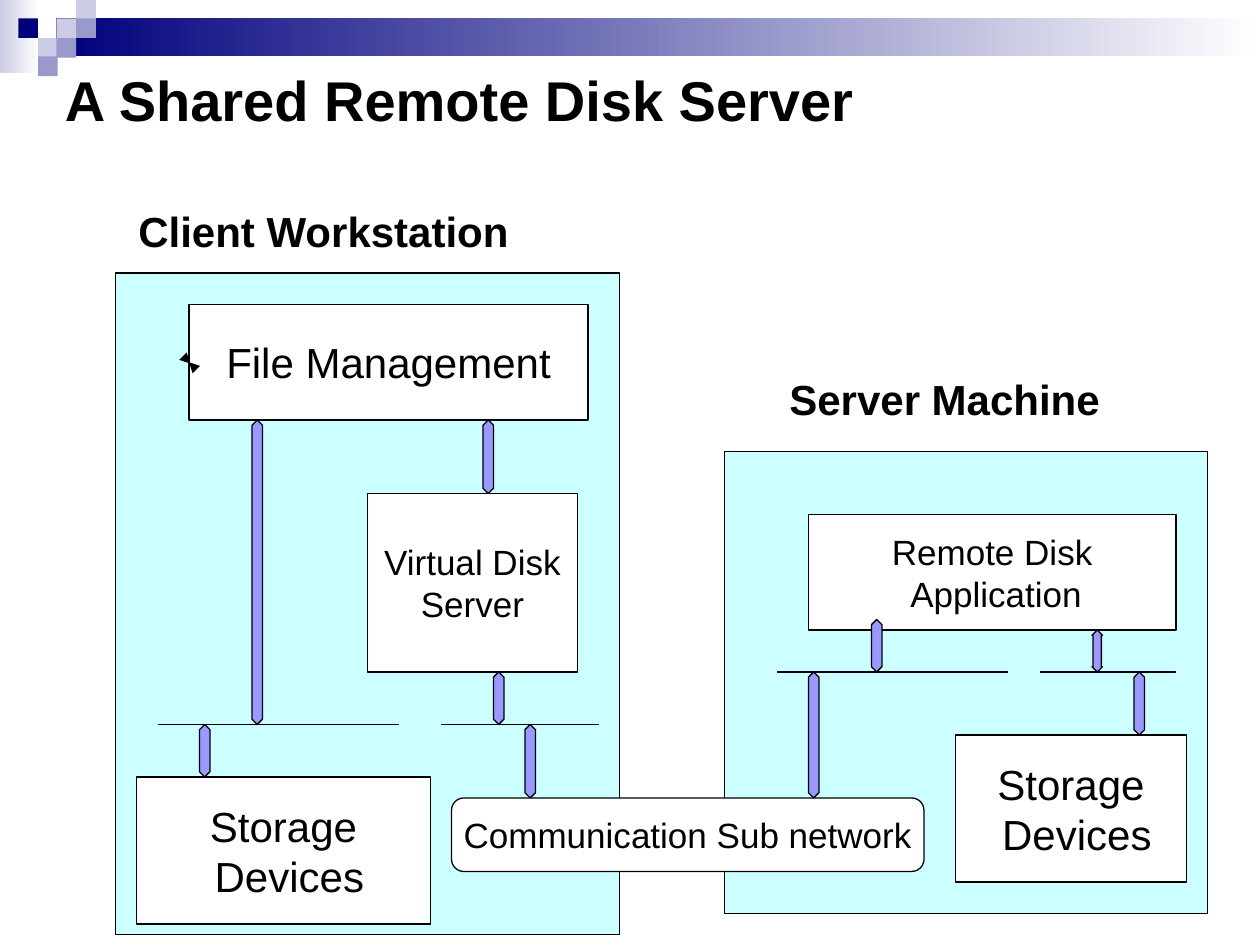
from lxml import etree
from pptx import Presentation
from pptx.dml.color import RGBColor
from pptx.enum.shapes import MSO_CONNECTOR, MSO_SHAPE
from pptx.enum.text import MSO_ANCHOR, PP_ALIGN
from pptx.oxml.ns import qn
from pptx.util import Pt

PX = 9525  # EMU per px, 96 px to the inch
RECT, ROUND = MSO_SHAPE.RECTANGLE, MSO_SHAPE.ROUNDED_RECTANGLE
ARROW, STRAIGHT = MSO_SHAPE.UP_DOWN_ARROW, MSO_CONNECTOR.STRAIGHT
CENTER, MIDDLE = PP_ALIGN.CENTER, MSO_ANCHOR.MIDDLE

THEME = {
    "font": "Arial", "ink": "000000", "box": "FFFFFF", "panel": "CCFFFF",
    "arrow": "9999FF", "navy": "00007D", "mid": "9999CC", "pale": "CCCCE6",
    "title": 32, "large": 24, "small": 20, "line": 0.75,
}


def color(name):
    return RGBColor.from_string(THEME[name])


def add_block(kind, bounds, fill, outlined=True):
    block = slide.shapes.add_shape(kind, *(v * PX for v in bounds))
    block.shadow.inherit = False
    block.fill.solid()
    block.fill.fore_color.rgb = color(fill)
    if outlined:
        block.line.color.rgb = color("ink")
        block.line.width = Pt(THEME["line"])
    else:
        block.line.fill.background()
    return block


def write(frame, lines, size, bold=False, **paragraph_format):
    for i, text in enumerate(lines):
        paragraph = frame.paragraphs[0] if i == 0 else frame.add_paragraph()
        for key, value in paragraph_format.items():
            setattr(paragraph, key, value)
        run = paragraph.add_run()
        run.text = text
        font = {"name": THEME["font"], "size": Pt(THEME[size]), "bold": bold}
        for key, value in font.items():
            setattr(run.font, key, value)
        run.font.color.rgb = color("ink")


prs = Presentation()
prs.slide_width, prs.slide_height = 960 * PX, 720 * PX
slide = prs.slides.add_slide(prs.slide_layouts[6])

# Header band and mosaic
for bounds, dark_end in [((0, 0, 30, 56), "pale"), ((43, 14, 917, 29), "navy")]:
    band = add_block(RECT, bounds, dark_end, outlined=False)
    band.fill.gradient()
    band.fill.gradient_angle = 180
    for stop, name, position in zip(band.fill.gradient_stops, ("box", dark_end), (0, 1)):
        stop.color.rgb = color(name)
        stop.position = position

TILE_EDGES = (0, 14, 29, 43, 58)
for column, row, fill in [
    (3, 1, "pale"), (4, 0, "pale"), (4, 1, "mid"), (2, 2, "pale"),
    (1, 1, "navy"), (3, 2, "mid"), (2, 3, "mid"),
]:
    add_block(RECT, (TILE_EDGES[column], TILE_EDGES[row], 15, 15), fill, outlined=False)

# Headings
for text, bounds, size, space in [
    ("A Shared Remote Disk Server", (40, 45, 864, 120), "title", 0),
    ("Client Workstation", (96, 152, 344, 48), "large", 15),
    ("Server Machine", (592, 280, 312, 48), "large", 15),
]:
    heading = slide.shapes.add_textbox(*(v * PX for v in bounds)).text_frame
    heading.word_wrap = True
    write(heading, [text], size, bold=True, space_before=Pt(space))

# Machines and their components
for machine in [(88, 208, 384, 504), (552, 344, 368, 352)]:
    add_block(RECT, machine, "panel")

for kind, bounds, lines, size in [
    (RECT, (144, 232, 304, 88), ["File Management"], "large"),
    (RECT, (280, 376, 160, 136), ["Virtual Disk", "Server"], "small"),
    (RECT, (104, 592, 224, 112), ["Storage", " Devices"], "large"),
    (RECT, (616, 392, 280, 88), ["Remote Disk", " Application"], "small"),
    (RECT, (728, 560, 176, 112), ["Storage", " Devices"], "large"),
    (ROUND, (344, 608, 360, 56), ["Communication Sub network"], "small"),
]:
    component = add_block(kind, bounds, "box").text_frame
    component.word_wrap = False
    component.vertical_anchor = MIDDLE
    write(component, lines, size, alignment=CENTER)

# Interface lines; the last is a tiny double-headed one
for x1, y1, x2, y2, double_headed in [
    (120, 552, 304, 552, False), (336, 552, 456, 552, False),
    (592, 512, 768, 512, False), (792, 512, 896, 512, False),
    (144, 276, 145, 277, True),
]:
    interface = slide.shapes.add_connector(STRAIGHT, *(v * PX for v in (x1, y1, x2, y2)))
    interface.line.color.rgb = color("ink")
    interface.line.width = Pt(THEME["line"])
    if double_headed:
        for end in ("a:headEnd", "a:tailEnd"):
            etree.SubElement(interface.line._get_or_add_ln(), qn(end), type="triangle")
    etree.SubElement(interface._element.spPr, qn("a:effectLst"))

# Data flows: left, top, bottom
FLOW_WIDTH = 8
for left, top, bottom in [
    (192, 320, 552), (368, 320, 376), (376, 512, 552), (400, 552, 608),
    (152, 552, 592), (664, 472, 512), (616, 512, 608), (832, 480, 512),
    (864, 512, 560),
]:
    height = bottom - top
    flow = add_block(ARROW, (left, top, FLOW_WIDTH, height), "arrow")
    flow.adjustments[0] = 0.5
    flow.adjustments[1] = 0.2 * height / FLOW_WIDTH  # each head is a fifth of the length

prs.save("out.pptx")
